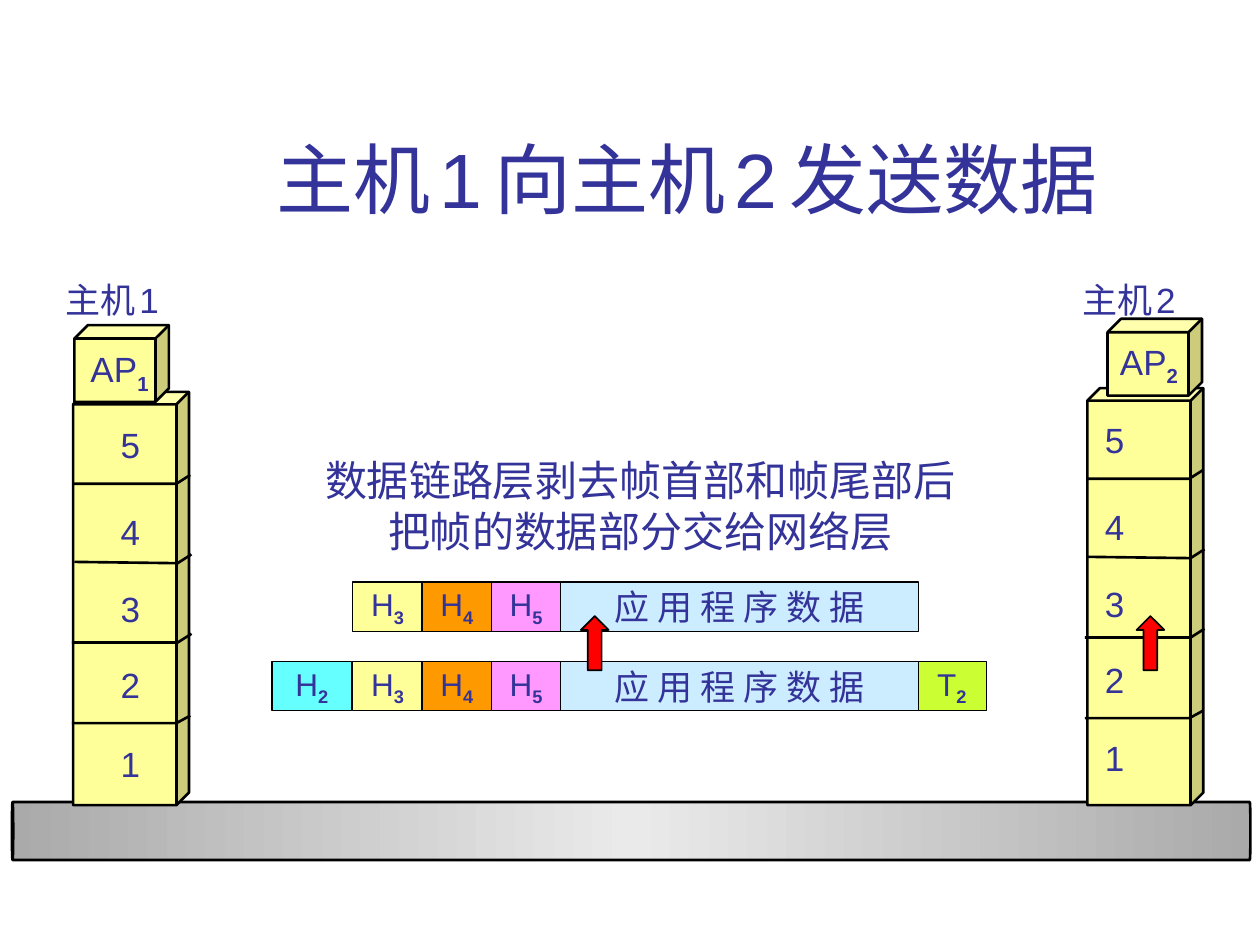
import copy

import pptx
import pptx.dml.color
import pptx.enum.shapes
import pptx.enum.text
import pptx.util

Inches = pptx.util.Inches
Pt = pptx.util.Pt
RGBColor = pptx.dml.color.RGBColor
MSO_SHAPE = pptx.enum.shapes.MSO_SHAPE
PP_ALIGN = pptx.enum.text.PP_ALIGN
MSO_ANCHOR = pptx.enum.text.MSO_ANCHOR
MSO_AUTO_SIZE = pptx.enum.text.MSO_AUTO_SIZE

INK = RGBColor(0x33, 0x33, 0x99)
BLACK = RGBColor(0, 0, 0)
YELLOW = RGBColor(0xFF, 0xFF, 0x99)
ORANGE = RGBColor(0xFF, 0x99, 0x00)
PINK = RGBColor(0xFF, 0x99, 0xFF)
PALE_BLUE = RGBColor(0xCC, 0xEC, 0xFF)
CYAN = RGBColor(0x66, 0xFF, 0xFF)
LIME = RGBColor(0xCC, 0xFF, 0x33)
RED = RGBColor(0xFF, 0, 0)
GREY = RGBColor(0xAA, 0xAA, 0xAA)
LIGHT_GREY = RGBColor(0xEA, 0xEA, 0xEA)

LABEL = {"word_wrap": False, "auto_size": MSO_AUTO_SIZE.SHAPE_TO_FIT_TEXT,
         "vertical_anchor": MSO_ANCHOR.TOP}
CELL = {"word_wrap": False, "vertical_anchor": MSO_ANCHOR.MIDDLE}
TITLE = {"word_wrap": True, "vertical_anchor": MSO_ANCHOR.BOTTOM}

deck = pptx.Presentation()
deck.slide_width, deck.slide_height = Inches(10), Inches(7.5)
page = deck.slides.add_slide(deck.slide_layouts[5])


def write(box, lines, frame_format, align=PP_ALIGN.LEFT, font="Arial"):
    """Each line is a list of (text, size); a third item marks a subscript."""
    frame = box.text_frame
    for name, value in frame_format.items():
        setattr(frame, name, value)
    for index, line in enumerate(lines):
        para = frame.add_paragraph() if index else frame.paragraphs[0]
        para.alignment = align
        for text, size, *subscript in line:
            span = para.add_run()
            span.text = text
            look = {"name": font, "size": Pt(size), "bold": bool(subscript)}
            for name, value in look.items():
                setattr(span.font, name, value)
            span.font.color.rgb = INK
            if subscript:
                span.font._element.set("baseline", "-25000")


def draw(kind, place, fill, weight, adjust=()):
    shape = page.shapes.add_shape(kind, *map(Inches, place))
    shape.shadow.inherit = False
    shape.fill.solid()
    shape.fill.fore_color.rgb = fill
    shape.line.color.rgb = BLACK
    shape.line.width = Pt(weight)
    for index, value in enumerate(adjust):
        shape.adjustments[index] = value
    return shape


# Title
title = page.shapes.title
title.left, title.top, title.width, title.height = map(Inches, (1.26, 0.23, 8.52, 1.6))
write(title, [[("主机", 44), (" ", 24), ("1", 44), (" ", 24), ("向主机", 44), (" ", 24),
               ("2", 44), (" ", 24), ("发送数据 ", 44)]], TITLE, PP_ALIGN.CENTER)

# Physical medium: a long can lying on its side
medium = draw(MSO_SHAPE.CAN, (4.78, 1.68, 0.46, 9.83), GREY, 1.5, [0.023])
medium.rotation = 270
medium.fill.gradient()
medium.fill.gradient_angle = 90
stops = medium.fill.gradient_stops
stops[0].color.rgb, stops[1].color.rgb = LIGHT_GREY, GREY
first = stops[0]._gs
middle = copy.deepcopy(first)
middle.set("pos", "50000")
first.addnext(middle)
medium.fill.gradient_stops[0].color.rgb = GREY

# Hosts: layer stack, layer numbers, dividers, application process, name
hosts = [
    # number, stack, number left, shift of stack content, process cube, process label, name left
    ("1", (0.58, 3.11, 0.92, 3.28), 0.86, (0, 0), (0.59, 2.58), (0.62, 2.71), 0.42),
    ("2", (8.63, 3.08, 0.92, 3.31), 8.67, (8.04, -0.04), (8.79, 2.53), (8.79, 2.65), 8.49),
]
layers = [("5", 3.31), ("4", 4), ("3", 4.61), ("2", 5.22), ("1", 5.84)]
dividers = [
    [(0.58, 3.84), (1.4, 3.84), (1.51, 3.77)],
    [(0.59, 4.46), (1.41, 4.47), (1.52, 4.4)],
    [(0.57, 5.1), (1.41, 5.1), (1.52, 5.03)],
    [(0.57, 5.74), (1.4, 5.74), (1.51, 5.68)],
]
for host, stack, number_left, (dx, dy), process, process_label, name_left in hosts:
    draw(MSO_SHAPE.CUBE, stack, YELLOW, 1.5, [0.108])
    draw(MSO_SHAPE.CUBE, (*process, 0.75, 0.61), YELLOW, 1.5, [0.176])

    for points in dividers:
        start, *rest = [(Inches(x + dx), Inches(y + dy)) for x, y in points]
        builder = page.shapes.build_freeform(*start)
        builder.add_line_segments(rest, close=False)
        divider = builder.convert_to_shape()
        divider.shadow.inherit = False
        divider.fill.background()
        divider.line.color.rgb = BLACK
        divider.line.width = Pt(1.5)

    labels = [((number_left, top + dy, 0.35, 0.44), [(layer, 20)]) for layer, top in layers]
    labels.append(((*process_label, 0.66, 0.48), [("AP", 20), (host, 20, True)]))
    labels.append(((name_left, 2.16, 1.05, 0.44), [("主机", 20), (" ", 10), (host, 20)]))
    for place, line in labels:
        write(page.shapes.add_textbox(*map(Inches, place)), [line], LABEL)

# Explanation
caption = page.shapes.add_textbox(*map(Inches, (2.48, 3.56, 5.2, 0.9)))
write(caption, [[("数据链路层剥去帧首部和帧尾部后", 24)], [("把帧的数据部分交给网络层", 24)]],
      LABEL, PP_ALIGN.CENTER)

# Packet above, frame below: the frame adds a header and a trailer
packet = [("H", "3", 2.8, 0.55, YELLOW), ("H", "4", 3.35, 0.55, ORANGE),
          ("H", "5", 3.9, 0.55, PINK), ("应 用 程 序 数 据", "", 4.45, 2.84, PALE_BLUE)]
frame_ends = [("H", "2", 2.16, 0.63, CYAN), ("T", "2", 7.28, 0.55, LIME)]
for top, fields in ((4.62, packet), (5.25, frame_ends + packet)):
    for text, index, left, width, fill in fields:
        field = draw(MSO_SHAPE.RECTANGLE, (left, top, width, 0.39), fill, 0.74)
        if index:
            write(field, [[(text, 18), (index, 18, True)]], CELL, PP_ALIGN.CENTER)
        else:
            write(field, [[(text, 20)]], CELL, PP_ALIGN.CENTER, "Cabin")

# Arrows from layer 2 up to layer 3
for left in (9.02, 4.61):
    draw(MSO_SHAPE.UP_ARROW, (left, 4.89, 0.22, 0.43), RED, 0.99, [0.5, 0.5])

deck.save("out.pptx")
